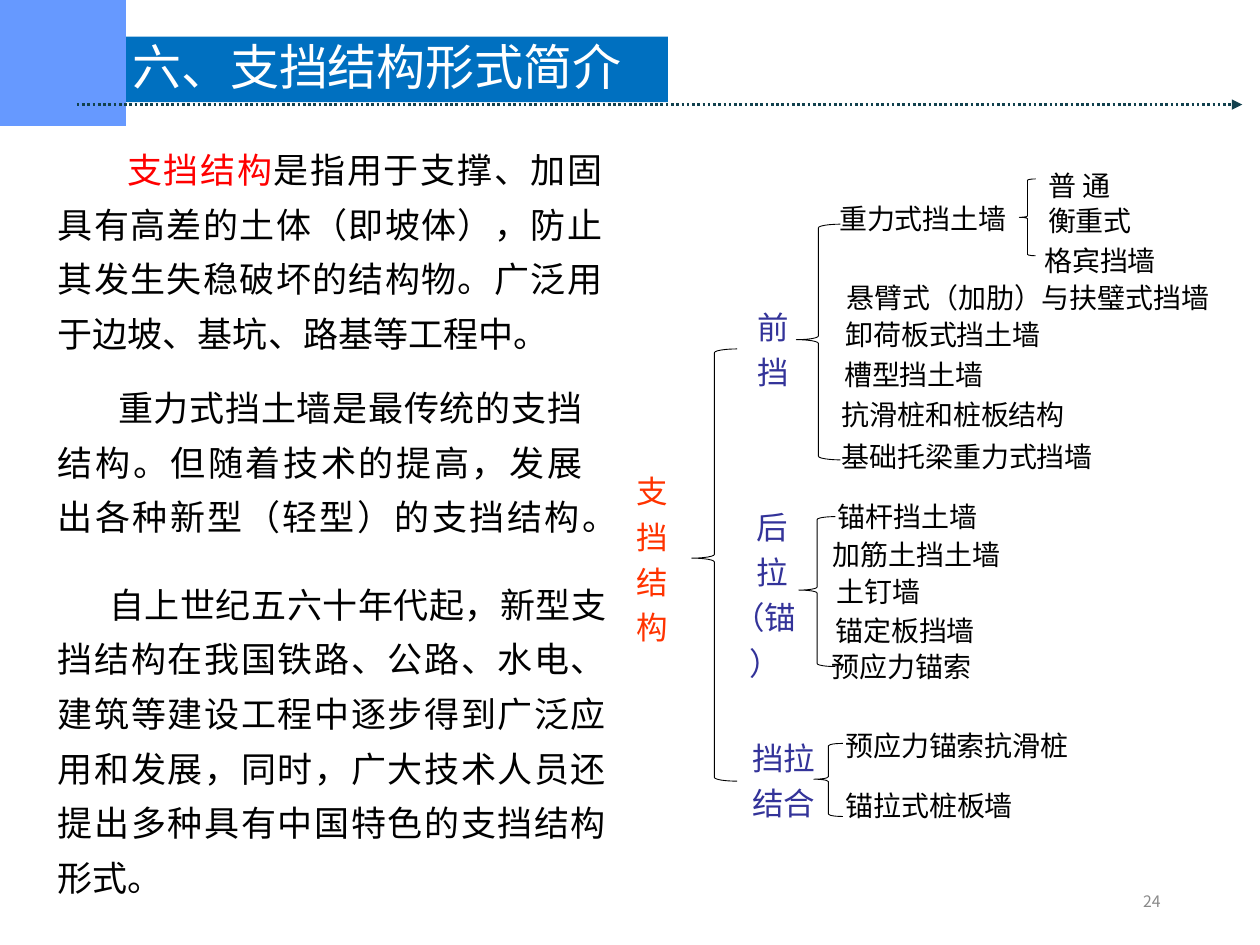
from dataclasses import dataclass

from lxml import etree
from pptx import Presentation
from pptx.dml.color import RGBColor
from pptx.enum.dml import MSO_LINE
from pptx.enum.shapes import MSO_CONNECTOR, MSO_SHAPE
from pptx.enum.text import MSO_ANCHOR, MSO_AUTO_SIZE, PP_ALIGN
from pptx.oxml.ns import qn
from pptx.util import Inches, Pt

LEFT, CENTER, RIGHT, JUSTIFY = PP_ALIGN.LEFT, PP_ALIGN.CENTER, PP_ALIGN.RIGHT, PP_ALIGN.JUSTIFY
TOP, MIDDLE = MSO_ANCHOR.TOP, MSO_ANCHOR.MIDDLE
LEFT_BRACE, PARALLELOGRAM = MSO_SHAPE.LEFT_BRACE, MSO_SHAPE.PARALLELOGRAM
STRAIGHT, ROUND_DOT = MSO_CONNECTOR.STRAIGHT, MSO_LINE.ROUND_DOT

BLACK = RGBColor(0x00, 0x00, 0x00)
WHITE = RGBColor(0xFF, 0xFF, 0xFF)
RED = RGBColor(0xFF, 0x00, 0x00)
ORANGE = RGBColor(0xFF, 0x33, 0x00)
INDIGO = RGBColor(0x33, 0x33, 0x99)
TITLE_BLUE = RGBColor(0x00, 0x70, 0xC0)
CORNER_BLUE = RGBColor(0x66, 0x99, 0xFF)
RULE_TEAL = RGBColor(0x12, 0x41, 0x4E)
GREY = RGBColor(0x89, 0x89, 0x89)

SANS, SERIF = "Noto Sans CJK SC", "Times New Roman"


@dataclass
class Box:
    left: float
    top: float
    width: float
    height: float

    def lengths(self):
        return [Inches(v) for v in (self.left, self.top, self.width, self.height)]


@dataclass
class Line:
    """One paragraph: runs of (text, colour) and its indents in inches."""
    runs: list[tuple[str, RGBColor]]
    first_indent: float = 0
    left_margin: float = 0


@dataclass
class Style:
    size: float
    font: str = SANS
    align: PP_ALIGN = LEFT
    spacing: float = 1.0
    anchor: MSO_ANCHOR = MIDDLE
    left_inset: float = 0.1


@dataclass
class Brace:
    box: Box
    point: float = 0.49


BODY = Style(20, SERIF, JUSTIFY, 1.3, TOP)
CATEGORY = Style(18, align=CENTER, spacing=1.2)
WALL_TYPE = Style(16, left_inset=0.15)
GRAVITY_TYPE = Style(16, align=JUSTIFY, spacing=1.2)
PAGE_NUMBER = Style(9, align=RIGHT)

BODY_TEXTS = [
    (Box(0.36, 1.03, 4.52, 1.85), Line([
        ("支挡结构", RED),
        ("是指用于支撑、加固具有高差的土体（即坡体），防止其发生失稳破坏的结构物。"
         "广泛用于边坡、基坑、路基等工程中。", BLACK)], 0.55)),
    (Box(0.36, 2.92, 4.36, 1.41), Line([
        ("重力式挡土墙是最传统的支挡结构。但随着技术的提高，"
         "发展出各种新型（轻型）的支挡结构。", BLACK)], 0.48)),
    (Box(0.36, 4.48, 4.55, 2.73), Line([
        ("自上世纪五六十年代起，新型支挡结构在我国铁路、公路、水电、建筑等建设工程中"
         "逐步得到广泛应用和发展，同时，广大技术人员还提出多种具有中国特色的支挡结构形式。",
         BLACK)], 0.41)),
]

CATEGORIES = [
    (Box(4.91, 3.66, 0.54, 1.5), [Line([("支挡结构", ORANGE)])]),
    (Box(5.85, 2.31, 0.58, 0.87), [Line([("前挡", INDIGO)])]),
    (Box(5.71, 4.16, 0.72, 1.06), [Line([("后", INDIGO)], left_margin=0.11),
                                   Line([("拉", INDIGO)], left_margin=0.11),
                                   Line([("（锚）", INDIGO)])]),
    (Box(5.86, 5.76, 0.72, 0.81), [Line([("挡拉结合", INDIGO)])]),
]

WALL_TYPES = [
    ("重力式挡土墙", Box(6.51, 1.49, 1.91, 0.49)),
    ("悬臂式（加肋）与扶璧式挡墙", Box(6.57, 2.21, 3.4, 0.3)),
    ("卸荷板式挡土墙", Box(6.56, 2.45, 1.94, 0.4)),
    ("槽型挡土墙", Box(6.55, 2.77, 1.94, 0.4)),
    ("抗滑桩和桩板结构", Box(6.53, 3.09, 2.34, 0.4)),
    ("基础托梁重力式挡墙", Box(6.53, 3.46, 2.72, 0.32)),
    ("锚杆挡土墙", Box(6.5, 3.9, 1.61, 0.4)),
    ("加筋土挡土墙", Box(6.46, 4.2, 2.33, 0.4)),
    ("土钉墙", Box(6.49, 4.49, 1.43, 0.4)),
    ("锚定板挡墙", Box(6.48, 4.81, 1.63, 0.39)),
    ("预应力锚索", Box(6.45, 5.09, 1.65, 0.4)),
    ("预应力锚索抗滑桩", Box(6.56, 5.72, 2.23, 0.39)),
    ("锚拉式桩板墙", Box(6.56, 6.2, 1.88, 0.39)),
]

GRAVITY_TYPES = [
    ("普 通", Box(8.22, 1.21, 0.95, 0.47)),
    ("衡重式", Box(8.22, 1.54, 1.1, 0.36)),
    ("格宾挡墙", Box(8.19, 1.86, 1.1, 0.36)),
]

BRACES = [
    Brace(Box(5.49, 2.77, 0.36, 3.43), 0.484),
    Brace(Box(6.32, 1.78, 0.35, 1.87)),
    Brace(Box(8.09, 1.42, 0.13, 0.61), 0.5),
    Brace(Box(6.34, 4.1, 0.29, 1.19)),
    Brace(Box(6.46, 5.9, 0.23, 0.58)),
]


def fill_text(frame, lines: list[Line], style: Style) -> None:
    frame.word_wrap = True
    frame.auto_size = MSO_AUTO_SIZE.NONE
    frame.vertical_anchor = style.anchor
    frame.margin_left = Inches(style.left_inset)
    for index, line in enumerate(lines):
        paragraph = frame.paragraphs[0] if index == 0 else frame.add_paragraph()
        paragraph.alignment = style.align
        paragraph.line_spacing = style.spacing
        paragraph.space_before = Pt(0)
        properties = paragraph._p.get_or_add_pPr()
        properties.set("marL", str(Inches(line.left_margin)))
        properties.set("indent", str(Inches(line.first_indent)))
        for text, color in line.runs:
            run = paragraph.add_run()
            run.text = text
            run.font.size = Pt(style.size)
            run.font.color.rgb = color
            run.font.name = style.font
            east_asian = etree.SubElement(run._r.get_or_add_rPr(), qn("a:ea"))
            east_asian.set("typeface", SANS)


def add_text(slide, box: Box, lines: list[Line], style: Style) -> None:
    fill_text(slide.shapes.add_textbox(*box.lengths()).text_frame, lines, style)


def add_brace(slide, brace: Brace) -> None:
    shape = slide.shapes.add_shape(LEFT_BRACE, *brace.box.lengths())
    shape.adjustments[0] = 0.083
    shape.adjustments[1] = brace.point
    shape.shadow.inherit = False
    shape.fill.background()
    shape.line.color.rgb = BLACK
    shape.line.width = Pt(0.5)


def add_header_decoration(slide) -> None:
    builder = slide.shapes.build_freeform(0, 0, scale=Inches(1))
    builder.add_line_segments([(0.76, 0), (0.51, 0.84), (0, 0.84)], close=True)
    corner = builder.convert_to_shape()
    stripe = slide.shapes.add_shape(PARALLELOGRAM, *Box(0.54, 0, 0.31, 0.84).lengths())
    stripe.adjustments[0] = 0.85
    for shape in (corner, stripe):
        shape.shadow.inherit = False
        shape.fill.solid()
        shape.fill.fore_color.rgb = CORNER_BLUE
        shape.line.fill.background()

    rule = slide.shapes.add_connector(
        STRAIGHT, Inches(0.61), Inches(0.83), Inches(9.86), Inches(0.83))
    rule.line.color.rgb = RULE_TEAL
    rule.line.width = Pt(1.5)
    rule.line.dash_style = ROUND_DOT
    etree.SubElement(rule.line._get_or_add_ln(), qn("a:tailEnd")).set("type", "triangle")
    etree.SubElement(rule._element.spPr, qn("a:effectLst"))


def add_title(slide) -> None:
    title = slide.shapes.title
    title.left, title.top, title.width, title.height = Box(0.95, 0.29, 4.35, 0.52).lengths()
    title.fill.solid()
    title.fill.fore_color.rgb = TITLE_BLUE
    fill_text(title.text_frame, [Line([("六、支挡结构形式简介", WHITE)])],
              Style(28, SERIF, spacing=0.9))


def main() -> None:
    presentation = Presentation()
    presentation.slide_width, presentation.slide_height = Inches(10), Inches(7.5)
    slide = presentation.slides.add_slide(presentation.slide_layouts[5])
    add_header_decoration(slide)
    add_title(slide)
    for box, line in BODY_TEXTS:
        add_text(slide, box, [line], BODY)
    for brace in BRACES:
        add_brace(slide, brace)
    for box, lines in CATEGORIES:
        add_text(slide, box, lines, CATEGORY)
    for entries, style in ((WALL_TYPES, WALL_TYPE), (GRAVITY_TYPES, GRAVITY_TYPE)):
        for text, box in entries:
            add_text(slide, box, [Line([(text, BLACK)])], style)
    add_text(slide, Box(7.06, 6.95, 2.25, 0.4), [Line([("24", GREY)])], PAGE_NUMBER)
    presentation.save("out.pptx")


if __name__ == "__main__":
    main()
